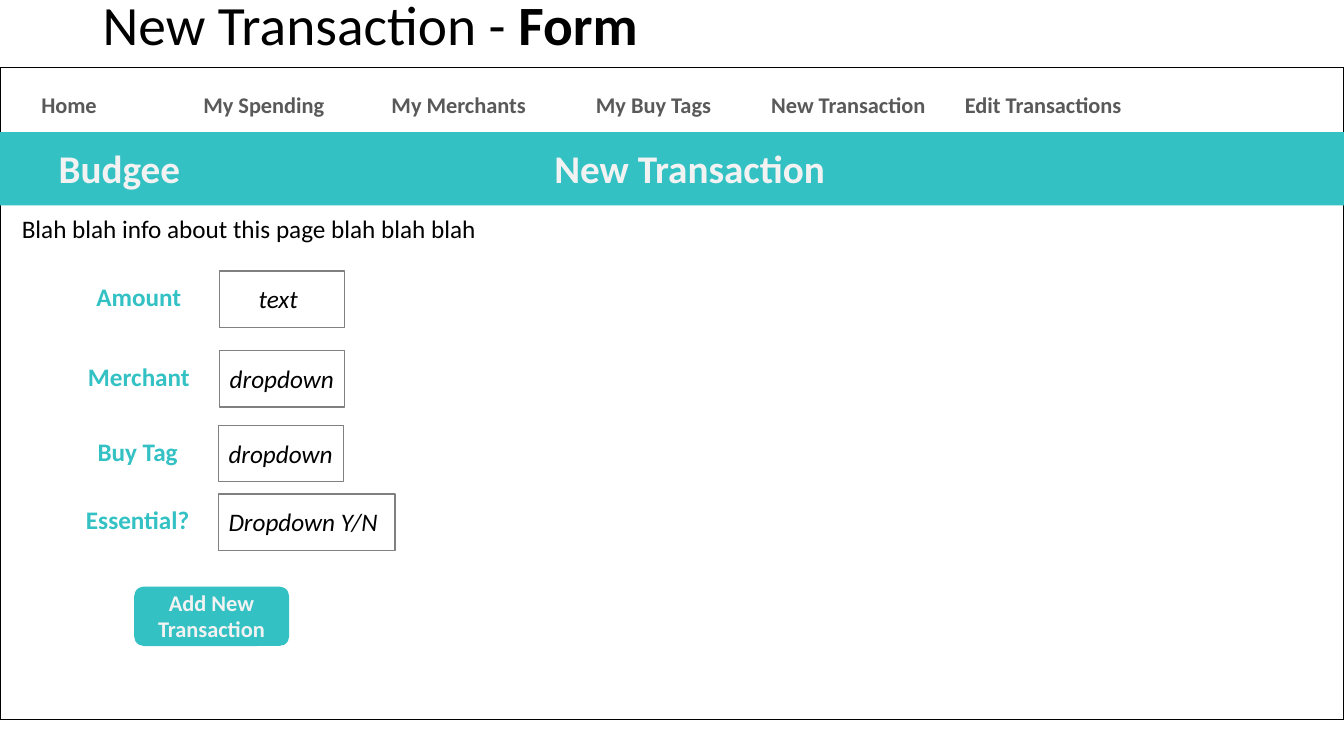
from pptx import Presentation
from pptx.dml.color import RGBColor
from pptx.enum.shapes import MSO_SHAPE as Preset
from pptx.enum.text import MSO_ANCHOR as Anchor, MSO_AUTO_SIZE as AutoSize, PP_ALIGN as Align
from pptx.util import Cm, Pt

COLORS = {
    "teal": "33C1C4",
    "white": "FFFFFF",
    "black": "000000",
    "pale": "F2F2F2",
    "nav": "595959",
    "border": "808080",
}
WIDTH, HEIGHT = 33.87, 19.05


def color(name):
    return RGBColor.from_string(COLORS[name])


def add_run(paragraph, text, *, size=18, tint="black", bold=False, italic=False, face="Calibri"):
    run = paragraph.add_run()
    run.text = text
    font = run.font
    font.name, font.size = face, Pt(size)
    font.bold, font.italic = bold, italic
    font.color.rgb = color(tint)


class Wireframe:
    label_style = {"tint": "teal", "bold": True}
    nav_style = {"size": 16, "tint": "nav", "bold": True}
    banner_style = {"size": 28, "tint": "pale", "bold": True}
    button_style = {"size": 16, "tint": "pale", "bold": True}

    def __init__(self, slide):
        self.slide = slide

    def panel(self, left, top, width, height, fill="white", border=None, preset=Preset.RECTANGLE):
        panel = self.slide.shapes.add_shape(preset, Cm(left), Cm(top), Cm(width), Cm(height))
        panel.shadow.inherit = False
        panel.fill.solid()
        panel.fill.fore_color.rgb = color(fill)
        if border:
            panel.line.color.rgb = color(border)
            panel.line.width = Pt(1)
        else:
            panel.line.fill.background()

    def text(self, left, top, width, height, wording, align=Align.CENTER, **style):
        frame = self.slide.shapes.add_textbox(Cm(left), Cm(top), Cm(width), Cm(height)).text_frame
        frame.word_wrap = True
        frame.auto_size = AutoSize.SHAPE_TO_FIT_TEXT
        paragraph = frame.paragraphs[0]
        paragraph.alignment = align
        add_run(paragraph, wording, **style)

    def title(self, lead, emphasis):
        frame = self.slide.shapes.add_textbox(Cm(2.34), Cm(0.05), Cm(29.21), Cm(1.3)).text_frame
        frame.word_wrap = True
        frame.auto_size = AutoSize.NONE
        frame.vertical_anchor = Anchor.MIDDLE
        heading = frame.paragraphs[0]
        heading.line_spacing = 0.9
        add_run(heading, lead, size=39.6)
        add_run(heading, emphasis, size=39.6, bold=True)

    def field(self, label, hint, left, top, width=3.15, indent=0):
        self.text(left - 4.62, top + 0.14, 5.16, 1.02, label, **self.label_style)
        self.panel(left, top, width, 1.42, border="border")
        self.text(left + indent, top + 0.19, 5.16, 1.02, hint, align=Align.LEFT, italic=True)

    def button(self, left, top, wording):
        self.panel(left, top, 3.91, 1.5, fill="teal", preset=Preset.ROUNDED_RECTANGLE)
        self.text(left - 0.63, top - 0.07, 5.16, 1.63, wording, **self.button_style)


def main():
    deck = Presentation()
    deck.slide_width, deck.slide_height = Cm(WIDTH), Cm(HEIGHT)
    page = Wireframe(deck.slides.add_slide(deck.slide_layouts[6]))

    page.title("New Transaction - ", "Form")
    page.panel(0, 1.7, WIDTH, 16.43, border="black")
    page.panel(0, 3.33, WIDTH, 1.85, fill="teal")
    for banner_left, banner in ((-2.03, "Budgee"), (12.34, "New Transaction")):
        page.text(banner_left, 3.51, 10.08, 1.45, banner, **page.banner_style)
    page.text(0.3, 5.26, 18.57, 1.02, "Blah blah info about this page blah blah blah", align=Align.LEFT)

    menu = ("Home", "My Spending", "My Merchants", "My Buy Tags", "New Transaction", "Edit Transactions")
    for position, entry in enumerate(menu):
        page.text(-0.84 + 4.91 * position, 2.18, 5.16, 0.97, entry, **page.nav_style)

    page.field("Amount", "text", 5.54, 6.83, indent=0.73)
    page.field("Merchant", "dropdown", 5.54, 8.84)
    page.field("Buy Tag", "dropdown", 5.51, 10.72)
    page.field("Essential?", "Dropdown Y/N", 5.51, 12.45, width=4.45)
    page.button(3.38, 14.78, "Add New Transaction")

    deck.save("out.pptx")


if __name__ == "__main__":
    main()
